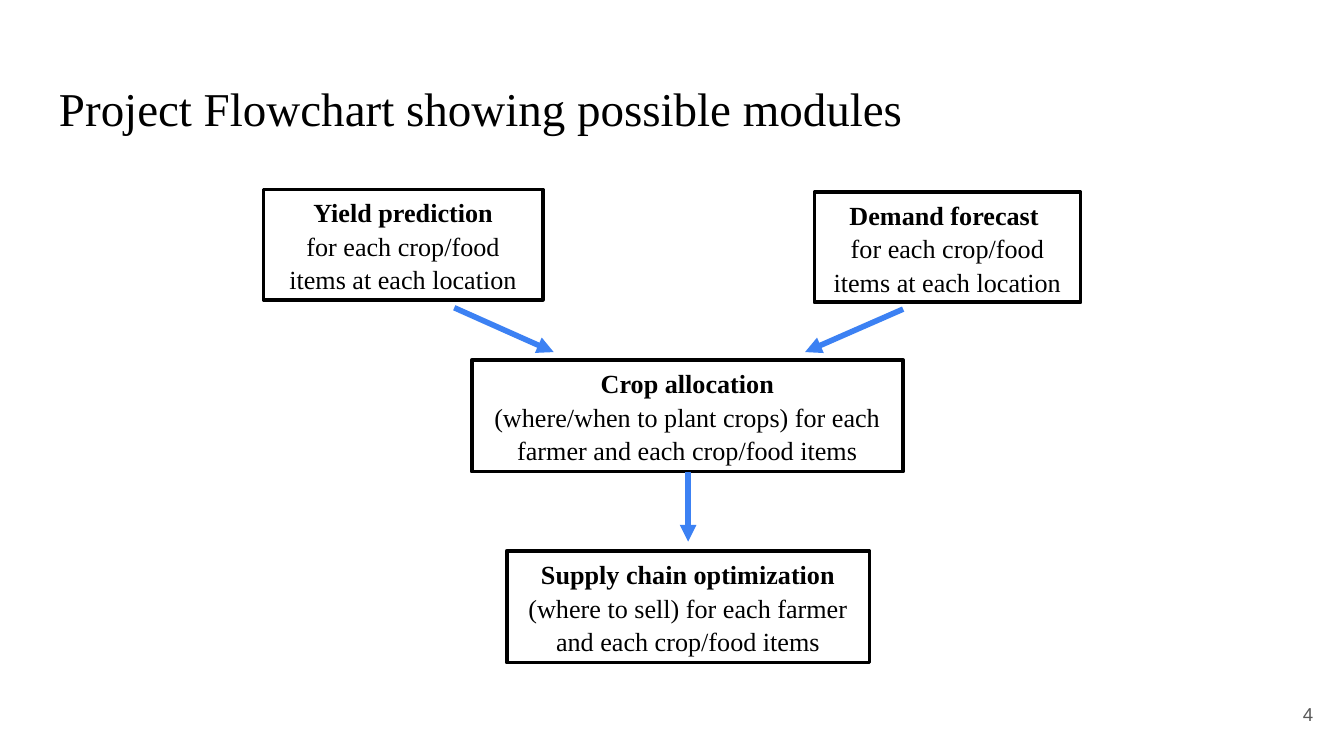
from lxml import etree
from pptx import Presentation
from pptx.dml.color import RGBColor
from pptx.enum.shapes import MSO_CONNECTOR, MSO_SHAPE
from pptx.enum.text import MSO_ANCHOR, PP_ALIGN
from pptx.oxml.ns import qn
from pptx.util import Inches, Pt

RECTANGLE = MSO_SHAPE.RECTANGLE
STRAIGHT = MSO_CONNECTOR.STRAIGHT
TOP, MIDDLE = MSO_ANCHOR.TOP, MSO_ANCHOR.MIDDLE
LEFT, CENTER, RIGHT = PP_ALIGN.LEFT, PP_ALIGN.CENTER, PP_ALIGN.RIGHT

SLIDE_WIDTH = Inches(10)
SLIDE_HEIGHT = SLIDE_WIDTH * 9 // 16
SERIF, SANS = "Times New Roman", "Arial"
BLACK, WHITE, BLUE, GRAY = "000000", "FFFFFF", "3C81F3", "595959"

# Box (left, top, width, height) and the paragraphs of (text, bold) runs
MODULES = [
    ((1.96, 1.41, 2.08, 0.82),
     [[("Yield prediction\v", True),
       ("for each crop/food items at each location", False)]]),
    ((6.06, 1.43, 1.98, 0.82),
     [[("Demand forecast \v", True),
       ("for each crop/food items at each location", False)]]),
    ((3.51, 2.68, 3.21, 0.83),
     [[("Crop allocation", True)],
      [("(where/when to plant crops) for each farmer and each crop/food items",
        False)]]),
    ((3.77, 4.1, 2.7, 0.83),
     [[("Supply chain optimization", True),
       (" (where to sell) for each farmer and each crop/food items", False)]]),
]
ARROWS = [
    ((3.38, 2.29), (4.12, 2.62)),
    ((6.72, 2.3), (5.99, 2.62)),
    ((5.12, 3.51), (5.12, 4.03)),
]


def color(value):
    """Turn a hex string into a colour."""
    return RGBColor.from_string(value)


def inches(values):
    """Convert a sequence of numbers to lengths."""
    return [Inches(value) for value in values]


def set_format(target, values):
    """Set each attribute named in values on the target."""
    for name, value in values.items():
        setattr(target, name, value)


def write_text(shape, paragraphs, font, size, ink, align, anchor,
               inset=0.1, spacing=None):
    """Fill a shape with paragraphs made of (text, bold) runs."""
    frame = shape.text_frame
    set_format(frame, {
        "word_wrap": True, "vertical_anchor": anchor,
        "margin_left": Inches(0.1), "margin_right": Inches(0.1),
        "margin_top": Inches(inset), "margin_bottom": Inches(inset)})
    for index, runs in enumerate(paragraphs):
        paragraph = frame.add_paragraph() if index else frame.paragraphs[0]
        set_format(paragraph, {"alignment": align, "line_spacing": spacing})
        for text, bold in runs:
            run = paragraph.add_run()
            run.text = text.rstrip("\v")
            set_format(run.font, {"name": font, "size": Pt(size), "bold": bold})
            run.font.color.rgb = color(ink)
            if text.endswith("\v"):
                paragraph.add_line_break()


def add_label(slide, box, text, font, size, ink, align, anchor):
    """Place a one-line text box."""
    shape = slide.shapes.add_textbox(*inches(box))
    write_text(shape, [[(text, False)]], font, size, ink, align, anchor)


def add_module(slide, box, paragraphs):
    """Place an outlined module of the flowchart."""
    shape = slide.shapes.add_shape(RECTANGLE, *inches(box))
    shape.shadow.inherit = False
    shape.fill.solid()
    shape.fill.fore_color.rgb = color(WHITE)
    shape.line.color.rgb = color(BLACK)
    shape.line.width = Pt(2)
    write_text(shape, paragraphs, SERIF, 14, BLACK, CENTER, MIDDLE, 0.05, 1.07)


def add_arrow(slide, start, end):
    """Draw an arrow between two points."""
    arrow = slide.shapes.add_connector(STRAIGHT, *inches(start + end))
    arrow.line.color.rgb = color(BLUE)
    arrow.line.width = Pt(3)
    properties = arrow._element.spPr
    etree.SubElement(properties.find(qn("a:ln")), qn("a:tailEnd"),
                     type="triangle")
    etree.SubElement(properties, qn("a:effectLst"))


def add_flowchart(slide):
    """Place all modules and the arrows between them."""
    for box, paragraphs in MODULES:
        add_module(slide, box, paragraphs)
    for start, end in ARROWS:
        add_arrow(slide, start, end)


def build():
    """Build the slide and save the presentation."""
    presentation = Presentation()
    set_format(presentation, {"slide_width": SLIDE_WIDTH,
                              "slide_height": SLIDE_HEIGHT})
    slide = presentation.slides.add_slide(presentation.slide_layouts[6])
    add_label(slide, (0.34, 0.49, 9.32, 0.63),
              "Project Flowchart showing possible modules",
              SERIF, 25.2, BLACK, LEFT, TOP)
    add_flowchart(slide)
    add_label(slide, (9.27, 5.1, 0.6, 0.43), "4", SANS, 10, GRAY, RIGHT, MIDDLE)
    presentation.save("out.pptx")


build()
